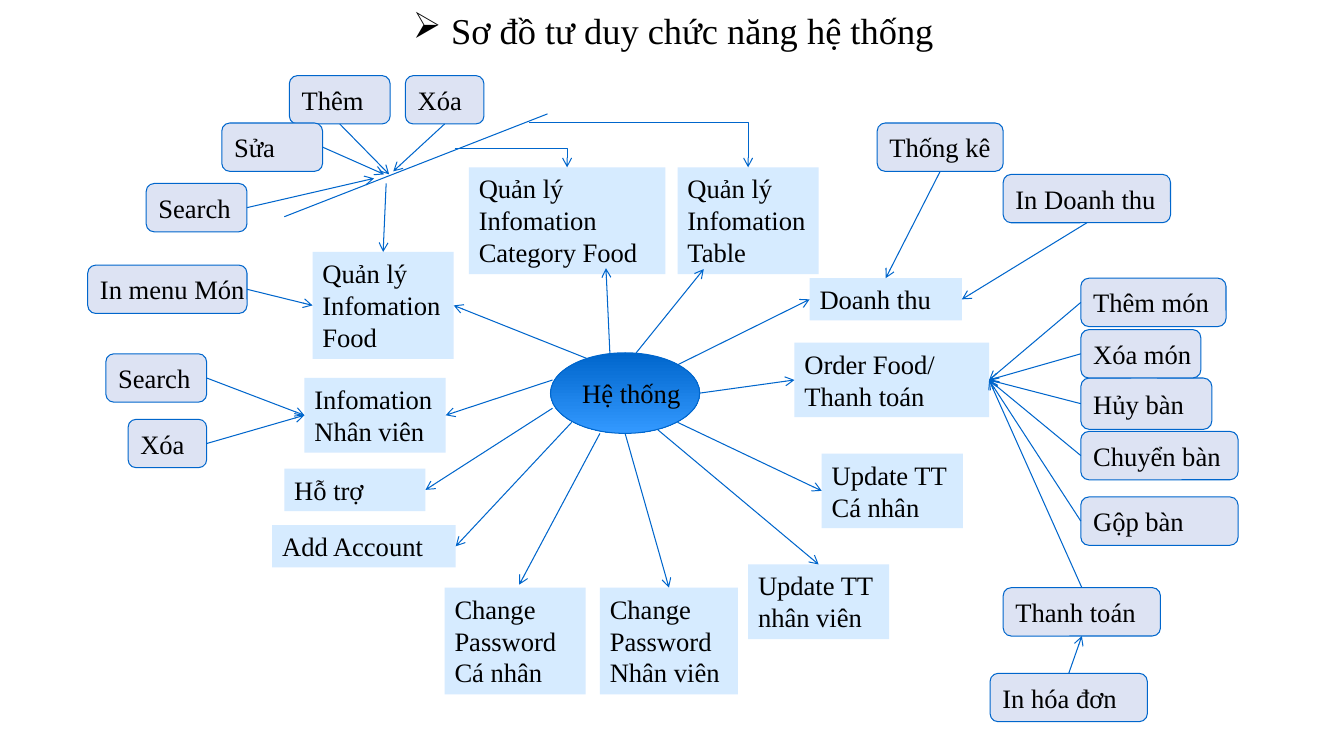
from lxml.etree import SubElement
from pptx import Presentation
from pptx.dml.color import RGBColor
from pptx.enum.shapes import MSO_CONNECTOR, MSO_SHAPE
from pptx.enum.text import MSO_ANCHOR, MSO_AUTO_SIZE, PP_ALIGN
from pptx.oxml.ns import qn
from pptx.util import Inches, Pt

COLORS = {
    "line": "0066CC",
    "hub_end": "3399FF",
    "module": "D6EBFF",
    "action": "DDE3F3",
    "text": "000000",
}
TOP, LEFT, BOTTOM, RIGHT = range(4)
ACTION_ROWS = 4.8


class MindMap:
    font = "Times New Roman"
    text_size = 19
    title_size = 26
    line_width = 0.75
    cell = Inches(0.1)

    def __init__(self, page):
        self.page = page
        self.nodes = {}

    def grid(self, *cells):
        return [round(value * self.cell) for value in cells]

    def color(self, name):
        return RGBColor.from_string(COLORS[name])

    def outline(self, line):
        line.color.rgb = self.color("line")
        line.width = Pt(self.line_width)

    def style(self, para, size):
        para.font.name = self.font
        para.font.size = Pt(size)
        para.font.color.rgb = self.color("text")

    def title(self, text, area):
        box = self.page.shapes.add_textbox(*self.grid(*area))
        box.text_frame.word_wrap = True
        para = box.text_frame.paragraphs[0]
        para.text = text
        para.alignment = PP_ALIGN.CENTER
        self.style(para, self.title_size)
        properties = para._p.get_or_add_pPr()
        indent = Inches(0.38)
        properties.set("marL", str(indent))
        properties.set("indent", str(-indent))
        SubElement(properties, qn("a:buChar")).set("char", "➢")

    def node(self, key, text, area, preset):
        shape = self.page.shapes.add_shape(preset, *self.grid(*area))
        shape.shadow.inherit = False
        frame = shape.text_frame
        frame.text = text
        for para in frame.paragraphs:
            para.alignment = PP_ALIGN.LEFT
            self.style(para, self.text_size)
        self.nodes[key] = shape
        return shape

    def hub(self, text, area):
        shape = self.node(text, text, area, MSO_SHAPE.OVAL)
        shape.fill.gradient()
        shape.fill.gradient_angle = 270
        for stop, name in zip(shape.fill.gradient_stops, ("line", "hub_end")):
            stop.color.rgb = self.color(name)
        self.outline(shape.line)
        shape.text_frame.word_wrap = False
        shape.text_frame.vertical_anchor = MSO_ANCHOR.MIDDLE

    def module(self, key, text, *area):
        shape = self.node(key, text, area, MSO_SHAPE.RECTANGLE)
        shape.fill.solid()
        shape.fill.fore_color.rgb = self.color("module")
        shape.line.fill.background()
        frame = shape.text_frame
        frame.word_wrap = True
        frame.vertical_anchor = MSO_ANCHOR.TOP
        frame.auto_size = MSO_AUTO_SIZE.SHAPE_TO_FIT_TEXT

    def action(self, key, text, left, top, width, height=ACTION_ROWS):
        area = (left, top, width, height)
        shape = self.node(key, text, area, MSO_SHAPE.ROUNDED_RECTANGLE)
        shape.fill.solid()
        shape.fill.fore_color.rgb = self.color("action")
        self.outline(shape.line)
        shape.text_frame.word_wrap = False
        shape.text_frame.vertical_anchor = MSO_ANCHOR.MIDDLE

    def link(self, start, end, bent=False, arrow=True):
        kind = MSO_CONNECTOR.ELBOW if bent else MSO_CONNECTOR.STRAIGHT
        points = [(0, 0) if spot[0] in self.nodes else spot for spot in (start, end)]
        connector = self.page.shapes.add_connector(
            kind, *self.grid(*points[0], *points[1])
        )
        if start[0] in self.nodes:
            connector.begin_connect(self.nodes[start[0]], start[1])
        if end[0] in self.nodes:
            connector.end_connect(self.nodes[end[0]], end[1])
        self.outline(connector.line)
        properties = connector._element.spPr
        if bent:
            properties.find(qn("a:prstGeom")).set("prst", "bentConnector2")
        if arrow:
            line = properties.find(qn("a:ln"))
            SubElement(line, qn("a:tailEnd")).set("type", "arrow")
        SubElement(properties, qn("a:effectLst"))


MODULES = [
    ("food", "Quản lý Infomation Food", 31, 25, 14, 10.6),
    ("category", "Quản lý Infomation Category Food", 46.5, 16.6, 19.5, 10.6),
    ("table", "Quản lý Infomation Table", 67.2, 16.6, 14, 10.6),
    ("order", "Order Food/\nThanh toán", 78.8, 34, 19.3, 7.4),
    ("revenue", "Doanh thu", 80.3, 27.6, 15.1, 4.2),
    ("support", "Hỗ trợ", 28.2, 46.5, 14, 4.2),
    ("update staff", "Update TT nhân viên", 74.2, 56, 14, 7.4),
    ("password staff", "Change Password Nhân viên", 59.5, 58.3, 13.7, 10.6),
    ("update self", "Update TT Cá nhân", 81.5, 45, 14, 7.4),
    ("password self", "Change Password Cá nhân", 44.1, 58.3, 14, 10.6),
    ("staff", "Infomation Nhân viên", 30.2, 37.5, 14, 7.4),
    ("account", "Add Account", 27, 52.1, 18.2, 4.2),
]
ACTIONS = [
    ("statistics", "Thống kê", 87, 12.2, 12.5),
    ("print revenue", "In Doanh thu", 99.5, 17.3, 16.6),
    ("add", "Thêm", 28.7, 7.5, 10),
    ("delete", "Xóa", 40.2, 7.5, 7.8),
    ("edit", "Sửa", 22, 12.2, 10),
    ("search", "Search", 14.5, 18.2, 10),
    ("print menu", "In menu Món", 8.7, 26.3, 15.8),
    ("staff search", "Search", 10.5, 35.1, 10),
    ("staff delete", "Xóa", 12.7, 41.6, 7.8),
    ("add dish", "Thêm món", 107.2, 27.6, 14.4),
    ("cancel table", "Hủy bàn", 107.2, 37.5, 13, 5.1),
    ("move table", "Chuyển bàn", 107.2, 42.8, 15.6),
    ("merge table", "Gộp bàn", 107.2, 49.3, 15.6),
    ("delete dish", "Xóa món", 107.2, 32.7, 11.9),
    ("pay", "Thanh toán", 99.5, 58.3, 15.6),
    ("print bill", "In hóa đơn", 98.2, 66.8, 15.6),
]
HUB_LINKS = [
    ((60.5, 35.3), (60.1, 26.6)),
    ((63.1, 35), (69.8, 26.7)),
    ((67.2, 36.2), ("revenue", LEFT)),
    ((69.4, 39), ("order", LEFT)),
    ((67.2, 41.9), ("update self", LEFT)),
    ((58.3, 35.6), ("food", RIGHT)),
    ((54.8, 40.5), ("support", RIGHT)),
    ((59.5, 43), (51.5, 58)),
    ((54.8, 37.7), ("staff", RIGHT)),
    ((62, 43), ("password staff", TOP)),
    ((65.2, 42.6), ("update staff", TOP)),
    ((56.7, 41.9), ("account", RIGHT)),
]
ACTION_LINKS = [
    (("edit", RIGHT), (38.1, 17.3)),
    (("add", BOTTOM), (38.6, 17.3)),
    (("delete", BOTTOM), (39, 17)),
    (("search", RIGHT), (37.1, 17.7)),
    ((38.3, 18.2), ("food", TOP)),
    (("print menu", RIGHT), ("food", LEFT)),
    (("statistics", BOTTOM), ("revenue", TOP)),
    (("print revenue", BOTTOM), ("revenue", RIGHT)),
    (("staff search", RIGHT), ("staff", LEFT)),
    (("staff delete", RIGHT), ("staff", LEFT)),
    (("pay", TOP), ("order", RIGHT)),
    (("print bill", TOP), ("pay", BOTTOM)),
]
ORDER_ACTIONS = ["add dish", "delete dish", "cancel table", "move table", "merge table"]


def main():
    deck = Presentation()
    deck.slide_width = Inches(13.33)
    deck.slide_height = Inches(7.5)
    mind_map = MindMap(deck.slides.add_slide(deck.slide_layouts[6]))
    mind_map.title("Sơ đồ tư duy chức năng hệ thống", (0, 0.3, 133.6, 5.4))
    mind_map.hub("Hệ thống", (54.6, 35, 14.8, 8))
    for module in MODULES:
        mind_map.module(*module)
    for action in ACTIONS:
        mind_map.action(*action)
    for start, end in HUB_LINKS + ACTION_LINKS:
        mind_map.link(start, end)
    for name in ORDER_ACTIONS:
        mind_map.link((name, LEFT), ("order", RIGHT))
    mind_map.link((54.3, 11.3), (28.2, 21.5), arrow=False)
    mind_map.link((52.5, 12.2), ("table", TOP), bent=True)
    mind_map.link((45.1, 14.7), ("category", TOP), bent=True)
    deck.save("out.pptx")


if __name__ == "__main__":
    main()
